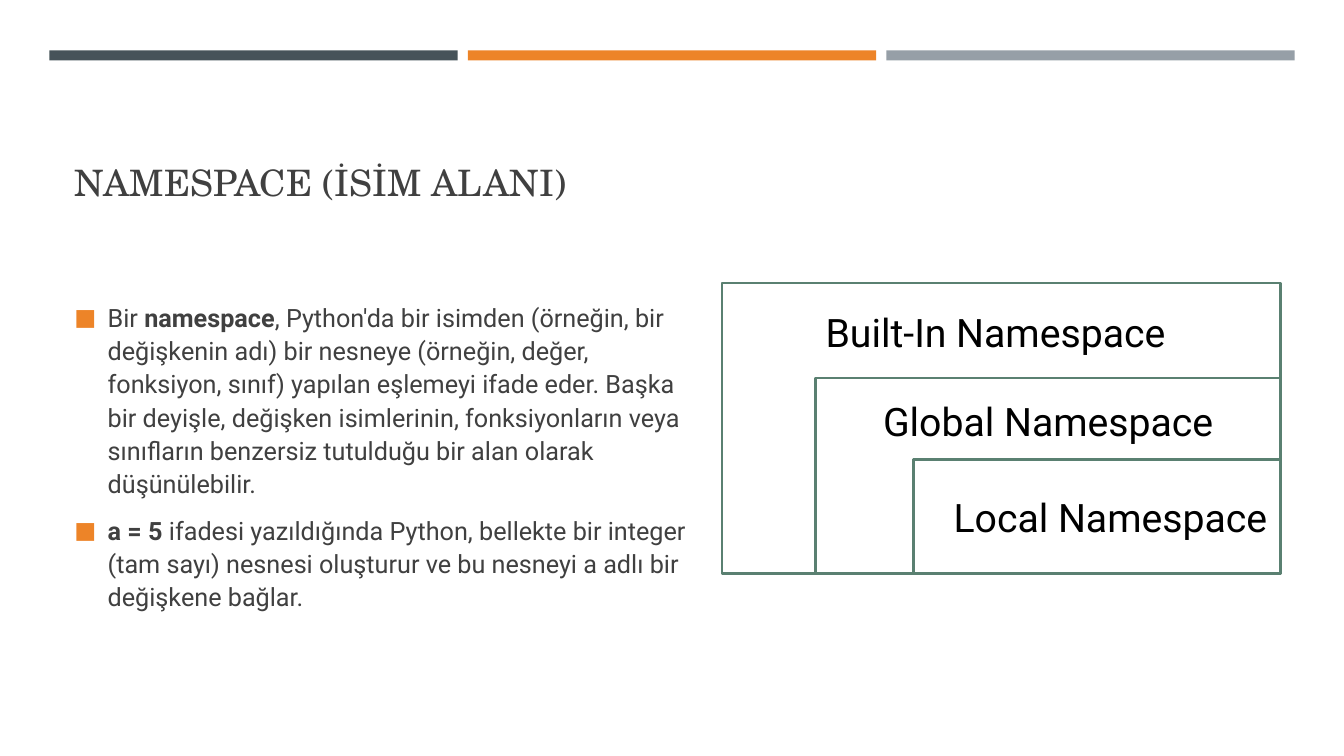
"""Builds a slide on Python namespaces with nested scope frames."""
from typing import NamedTuple

import pptx
import pptx.dml.color
import pptx.enum.shapes
import pptx.enum.text
import pptx.oxml
import pptx.util
from pptx.util import Inches

COLORS = {
    "slate": "465359",
    "orange": "ED8428",
    "gray": "969FA7",
    "text": "404040",
    "white": "FFFFFF",
    "green": "5A8071",
    "black": "000000",
}
NS = 'xmlns:a="http://schemas.openxmlformats.org/drawingml/2006/main"'
BULLET = (
    f'<a:buClr {NS}><a:srgbClr val="{COLORS["orange"]}"/></a:buClr>',
    f'<a:buSzPct {NS} val="92000"/>',
    f'<a:buFont {NS} typeface="Roboto"/>',
    f'<a:buChar {NS} char="■"/>',
)


class Box(NamedTuple):
    left: float
    top: float
    width: float
    height: float


class Run(NamedTuple):
    text: str
    bold: bool = False


class Scope(NamedTuple):
    label: str
    left: float
    top: float
    place: Box


BARS = ("slate", "orange", "gray")
RIGHT, BOTTOM = 12.7, 5.69
SCOPES = (
    Scope("Built-In Namespace", 7.16, 2.81, Box(8.09, 3.01, 4.04, 0.57)),
    Scope("Global Namespace", 8.09, 3.75, Box(8.66, 3.89, 4.04, 0.57)),
    Scope("Local Namespace", 9.06, 4.56, Box(9.36, 4.84, 3.33, 0.57)),
)
POINTS = (
    (
        Run("Bir "),
        Run("namespace", True),
        Run(", Python'da bir isimden (örneğin, bir değişkenin adı) bir nesneye "
            "(örneğin, değer, fonksiyon, sınıf) yapılan eşlemeyi ifade eder. "
            "Başka bir deyişle, değişken isimlerinin, fonksiyonların veya "
            "sınıfların benzersiz tutulduğu bir alan olarak düşünülebilir."),
    ),
    (
        Run("a = 5 ", True),
        Run("ifadesi yazıldığında Python, bellekte bir integer (tam sayı) "
            "nesnesi oluşturur ve bu nesneyi a adlı bir değişkene bağlar."),
    ),
)


def paint(name: str) -> pptx.dml.color.RGBColor:
    """Return the named color."""
    return pptx.dml.color.RGBColor.from_string(COLORS[name])


def add_rect(slide, box: Box, fill: str, line: str = "") -> None:
    """Draw a flat rectangle with an optional outline."""
    kind = pptx.enum.shapes.MSO_SHAPE.RECTANGLE
    rect = slide.shapes.add_shape(kind, *map(Inches, box))
    rect.shadow.inherit = False
    rect.fill.solid()
    rect.fill.fore_color.rgb = paint(fill)
    if line:
        rect.line.color.rgb = paint(line)
        rect.line.width = pptx.util.Pt(1.75)
    else:
        rect.line.fill.background()


def add_text(slide, box: Box, lines, *, size: float, font: str = "Roboto",
             color: str = "text", anchor: str = "TOP",
             bullet: bool = False) -> None:
    """Write paragraphs of runs in a text box."""
    frame = slide.shapes.add_textbox(*map(Inches, box)).text_frame
    frame.word_wrap = True
    frame.vertical_anchor = pptx.enum.text.MSO_ANCHOR[anchor]
    for index, runs in enumerate(lines):
        para = frame.add_paragraph() if index else frame.paragraphs[0]
        if bullet:
            props = para._p.get_or_add_pPr()
            props.set("marL", str(Inches(0.33)))
            props.set("indent", str(Inches(-0.33)))
            for part in BULLET:
                props.append(pptx.oxml.parse_xml(part))
            para.line_spacing = 1.1
            para.space_after = pptx.util.Pt(6)
            if index:
                para.space_before = pptx.util.Pt(3.6)
        for item in runs:
            run = para.add_run()
            run.text = item.text
            run.font.name = font
            run.font.size = pptx.util.Pt(size)
            run.font.bold = item.bold
            run.font.color.rgb = paint(color)


def main() -> None:
    """Build and save the slide."""
    deck = pptx.Presentation()
    deck.slide_width, deck.slide_height = Inches(13.33), Inches(7.5)
    slide = deck.slides.add_slide(deck.slide_layouts[6])
    for index, color in enumerate(BARS):
        add_rect(slide, Box(0.49 + index * 4.15, 0.5, 4.05, 0.1), color)
    add_text(slide, Box(0.64, 0.77, 12.06, 1.3),
             [[Run("NAMESPACE (İSİM ALANI)")]],
             size=26, font="TeX Gyre Schola", anchor="BOTTOM")
    add_text(slide, Box(0.64, 2.56, 6.33, 3.92), POINTS,
             size=18, anchor="MIDDLE", bullet=True)
    for scope in SCOPES:
        frame = Box(scope.left, scope.top,
                    RIGHT - scope.left, BOTTOM - scope.top)
        add_rect(slide, frame, "white", "green")
    for scope in SCOPES:
        add_text(slide, scope.place, [[Run(scope.label)]],
                 size=28, color="black")
    deck.save("out.pptx")


if __name__ == "__main__":
    main()
